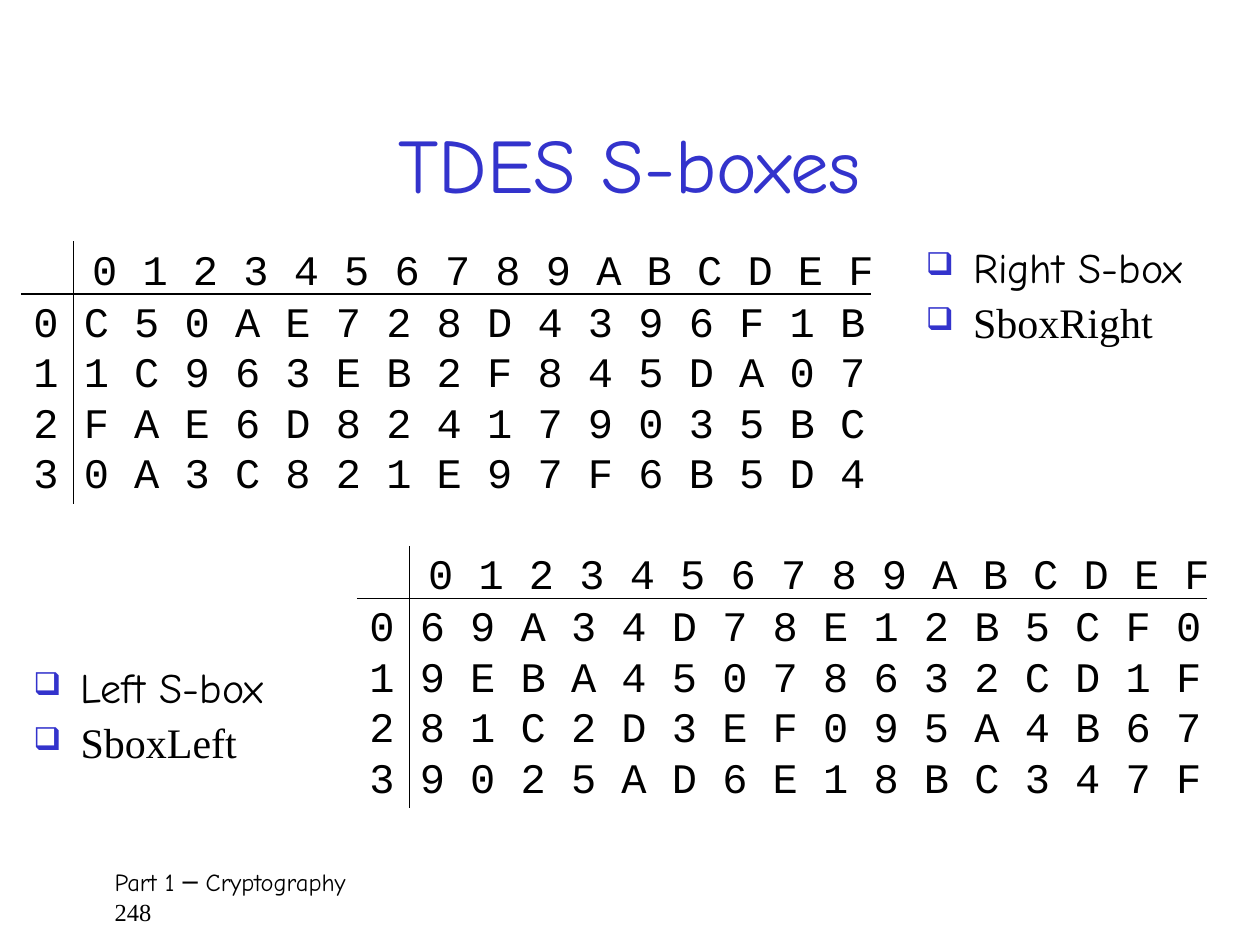
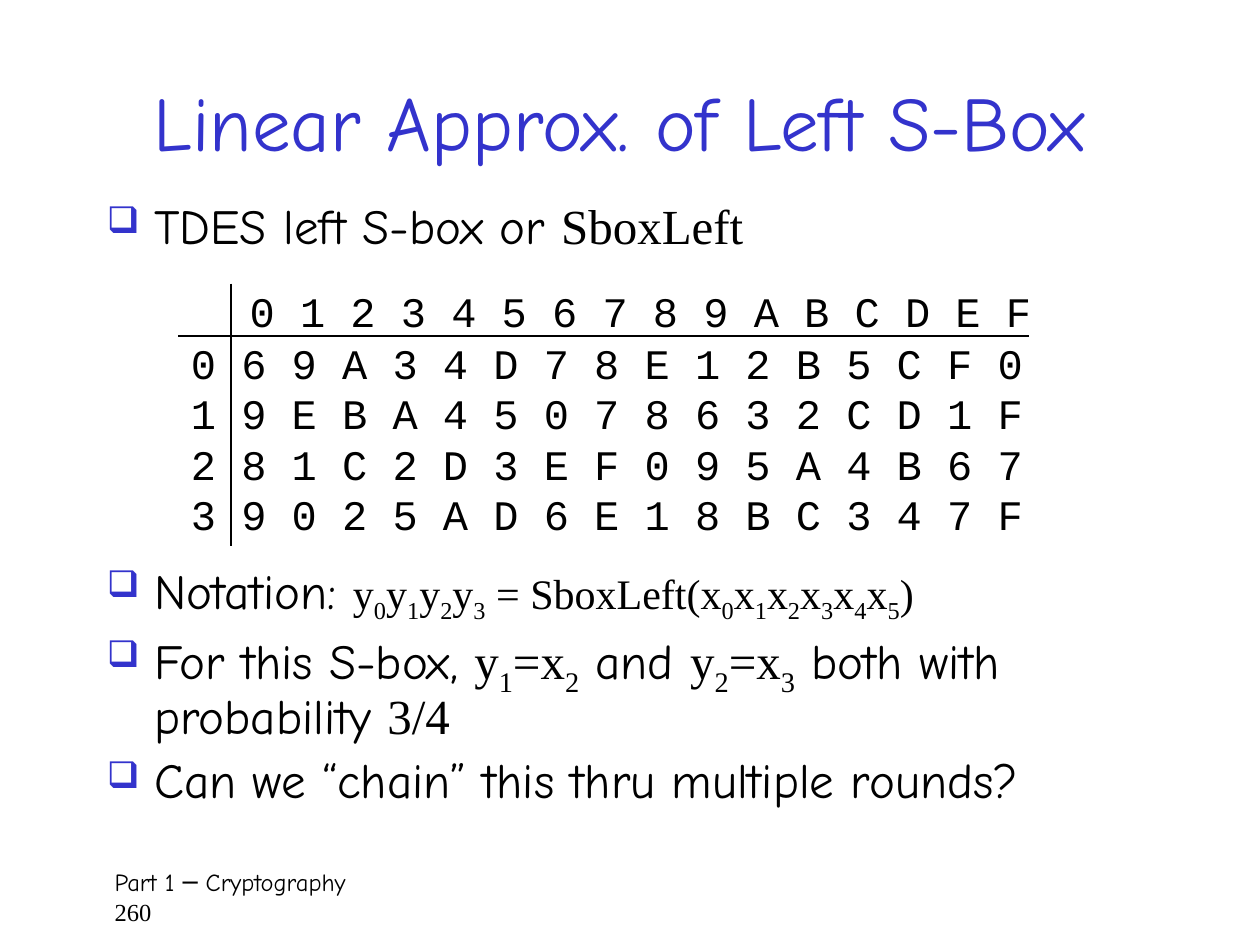
"""Builds two slides on the TDES S-boxes and their linear approximation."""
import lxml.etree
import pptx
import pptx.dml.color
import pptx.enum.shapes
import pptx.enum.text
import pptx.oxml.ns
import pptx.util

Pt = pptx.util.Pt
BLUE, BLACK = "3333CC", "000000"
SANS, SERIF, MONO = "Comic Neue", "Times New Roman", "Courier New"
RIGHT_SBOX = ["C50AE728D4396F1B", "1C963EB2F845DA07",
              "FAE6D82417903 5BC".replace(" ", ""), "0A3C821E97F6B5D4"]
LEFT_SBOX = ["69A34D78E12B5CF0", "9EBA45078632CD1F",
             "81C2D3EF095A4B67", "9025AD6E18BC347F"]


def rgb(value):
    """Turn a hex string into a colour."""
    return pptx.dml.color.RGBColor.from_string(value)


def add_sub(parent, tag, **attrs):
    """Append a DrawingML element to a parent."""
    return lxml.etree.SubElement(parent, pptx.oxml.ns.qn(tag), attrs)


def add_box(s, box, wrap=True):
    """Add a text box and return its frame."""
    tf = s.shapes.add_textbox(*map(Pt, box)).text_frame
    tf.word_wrap = wrap
    return tf


def add_para(tf, first, size, name=None, color=BLACK):
    """Return the next paragraph with its font set."""
    p = tf.paragraphs[0] if first else tf.add_paragraph()
    p.font.size, p.font.color.rgb = Pt(size), rgb(color)
    if name:
        p.font.name = name
    return p


def add_bullet(p):
    """Give a paragraph a hanging blue square bullet."""
    ppr = p._p.get_or_add_pPr()
    ppr.set("marL", str(Pt(27)))
    ppr.set("indent", str(Pt(-27)))
    holder = lxml.etree.Element("holder")
    add_sub(add_sub(holder, "a:buClr"), "a:srgbClr", val=BLUE)
    add_sub(holder, "a:buSzPct", val="75000")
    add_sub(holder, "a:buChar", char="❑")
    for el in list(holder):
        ppr.find(pptx.oxml.ns.qn("a:defRPr")).addprevious(el)


def add_rich_text(p, text, math_size=None):
    """Write text whose $...$ parts are serif, with _ before a subscript."""
    for i, part in enumerate(text.split("$")):
        for j, piece in enumerate(part.split("_")):
            cuts = [(piece[:1], True), (piece[1:], False)] if j else [(piece, False)]
            for chunk, is_sub in cuts:
                if not chunk:
                    continue
                r = p.add_run()
                r.text = chunk
                r.font.name = SERIF if i % 2 else SANS
                if i % 2 and math_size:
                    r.font.size = Pt(math_size)
                if is_sub:
                    r.font._element.set("baseline", "-25000")


def add_bullets(s, box, items, size, spacing=0.9, math_sizes=()):
    """Add a bulleted list."""
    tf = add_box(s, box)
    for i, text in enumerate(items):
        p = add_para(tf, i == 0, size)
        p.line_spacing, p.space_before = spacing, Pt(round(0.23 * size, 1))
        add_bullet(p)
        add_rich_text(p, text, dict(math_sizes).get(i))


def add_title(s, box, text):
    """Add the centred blue title."""
    tf = add_box(s, box)
    tf.vertical_anchor = pptx.enum.text.MSO_ANCHOR.MIDDLE
    p = add_para(tf, True, 44, SANS, BLUE)
    p.text, p.alignment = text, pptx.enum.text.PP_ALIGN.CENTER


def add_footer(s, number):
    """Add the part name with the page number below."""
    tf = add_box(s, (54, 492, 618, 36))
    tf.margin_left = Pt(11.5)
    add_para(tf, True, 14, SANS).text = "Part 1 ─ Cryptography"
    add_para(tf, False, 14, SERIF).text = str(number)


def add_rule(s, x1, y1, x2, y2):
    """Add a thin black line."""
    c = s.shapes.add_connector(pptx.enum.shapes.MSO_CONNECTOR.STRAIGHT,
                               Pt(x1), Pt(y1), Pt(x2), Pt(y2))
    c.line.color.rgb, c.line.width = rgb(BLACK), Pt(0.75)
    add_sub(c._element.spPr, "a:effectLst")


def add_sbox(s, x, y, rows):
    """Add an S-box grid with its column and row rules."""
    tf = add_box(s, (x, y, 498, 156), wrap=False)
    tf.margin_top = Pt(7)
    p = add_para(tf, True, 24, MONO)
    p.text, p.space_after = " ".join("0123456789ABCDEF"), Pt(1)
    p._p.get_or_add_pPr().set("marL", str(Pt(33.6)))
    for i, row in enumerate(rows):
        add_para(tf, False, 24, MONO).text = " ".join(f"{i}{row}")
    add_rule(s, x + 30, y + 6, x + 30, y + 156)
    add_rule(s, x, y + 36, x + 486, y + 36)


def build_sboxes(s):
    """Build the slide with both S-boxes."""
    add_footer(s, 248)
    add_title(s, (54, 48, 612, 90), "TDES S-boxes")
    add_bullets(s, (522, 138, 180, 66), ["Right S-box", "$SboxRight$"], 24)
    add_sbox(s, 12, 132, RIGHT_SBOX)
    add_sbox(s, 204, 306, LEFT_SBOX)
    add_bullets(s, (12, 378, 180, 66), ["Left S-box", "$SboxLeft$"], 24)


def build_approximation(s):
    """Build the slide on the left S-box approximation."""
    add_footer(s, 260)
    add_title(s, (36, 24, 636, 90), "Linear Approx. of Left S-Box")
    add_bullets(s, (54, 108, 606, 54), ["TDES left S-box or $SboxLeft$"], 28, 1.0)
    add_sbox(s, 102, 156, LEFT_SBOX)
    add_bullets(s, (54, 318, 600, 168), [
        "Notation: $y_0y_1y_2y_3 = SboxLeft(x_0x_1x_2x_3x_4x_5)$",
        "For this S-box, $y_1=x_2$ and $y_2=x_3$ both with probability $3/4$",
        "Can we “chain” this thru multiple rounds?",
    ], 28, math_sizes={0: 24})


def main():
    """Build and save the deck."""
    prs = pptx.Presentation()
    prs.slide_width, prs.slide_height = Pt(720), Pt(540)
    for build in (build_sboxes, build_approximation):
        build(prs.slides.add_slide(prs.slide_layouts[6]))
    prs.save("out.pptx")


if __name__ == "__main__":
    main()
